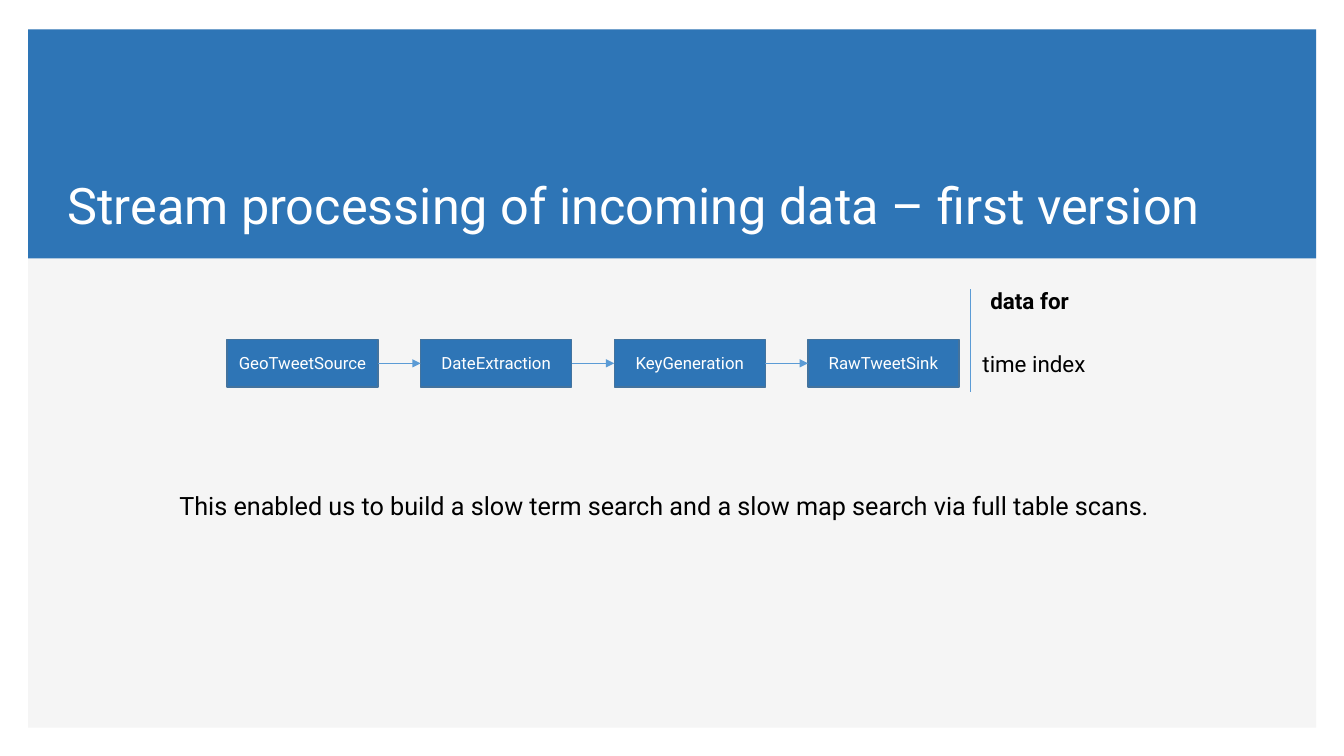
"""Build the slide on the first version of the stream processing pipeline."""
import dataclasses

import lxml.etree
import pptx
import pptx.dml.color
import pptx.enum.shapes
import pptx.enum.text
import pptx.oxml.ns
import pptx.util
from pptx.util import Cm

RGBColor = pptx.dml.color.RGBColor
Anchor = pptx.enum.text.MSO_ANCHOR
Align = pptx.enum.text.PP_ALIGN


@dataclasses.dataclass(frozen=True)
class Theme:
    """Colours, font and type sizes of the slide."""
    panel: RGBColor = RGBColor(0xF5, 0xF5, 0xF5)
    blue: RGBColor = RGBColor(0x2E, 0x75, 0xB6)
    outline: RGBColor = RGBColor(0x43, 0x73, 0x9E)
    connector: RGBColor = RGBColor(0x5B, 0x9B, 0xD5)
    light: RGBColor = RGBColor(0xFF, 0xFF, 0xFF)
    dark: RGBColor = RGBColor(0x00, 0x00, 0x00)
    font: str = "Roboto"
    title_size: int = 36
    body_size: int = 18
    label_size: int = 16
    step_size: int = 12
    line_width: int = 1


THEME = Theme()
STEPS = ("GeoTweetSource", "DateExtraction", "KeyGeneration", "RawTweetSink")
STEP_LEFT, STEP_TOP = Cm(5.72), Cm(8.56)
STEP_WIDTH, STEP_HEIGHT = Cm(3.81), Cm(1.19)
STEP_PITCH = Cm(4.88)


def write_text(shape, text, size, color, bold=False):
    """Set the text of a shape, format it and return its paragraph."""
    shape.text_frame.text = text
    paragraph = shape.text_frame.paragraphs[0]
    font = paragraph.runs[0].font
    font.name = THEME.font
    font.size = pptx.util.Pt(size)
    font.bold = bold
    font.color.rgb = color
    return paragraph


def add_rectangle(slide, left, top, width, height, fill):
    """Add a plain filled rectangle."""
    shape = slide.shapes.add_shape(
        pptx.enum.shapes.MSO_SHAPE.RECTANGLE, left, top, width, height)
    shape.shadow.inherit = False
    shape.fill.solid()
    shape.fill.fore_color.rgb = fill
    shape.line.fill.background()
    return shape


def add_step(slide, name, left):
    """Add one outlined box of the pipeline."""
    shape = add_rectangle(slide, left, STEP_TOP, STEP_WIDTH, STEP_HEIGHT, THEME.blue)
    shape.line.color.rgb = THEME.outline
    shape.line.width = pptx.util.Pt(THEME.line_width)
    shape.text_frame.vertical_anchor = Anchor.MIDDLE
    paragraph = write_text(shape, name, THEME.step_size, THEME.light)
    paragraph.alignment = Align.CENTER


def add_line(slide, start_x, start_y, end_x, end_y, arrow=False):
    """Add a straight line, with an arrowhead at its end if wanted."""
    connector = slide.shapes.add_connector(
        pptx.enum.shapes.MSO_CONNECTOR.STRAIGHT, start_x, start_y, end_x, end_y)
    connector.line.color.rgb = THEME.connector
    connector.line.width = pptx.util.Pt(THEME.line_width)
    if arrow:
        line = connector.line._get_or_add_ln()
        lxml.etree.SubElement(line, pptx.oxml.ns.qn("a:tailEnd"), type="triangle")
    properties = connector._element.spPr
    lxml.etree.SubElement(properties, pptx.oxml.ns.qn("a:effectLst"))


def add_label(slide, text, left, top, width, height, size, bold=False):
    """Add a dark text box on a single line that grows with its text."""
    box = slide.shapes.add_textbox(left, top, width, height)
    box.text_frame.word_wrap = False
    box.text_frame.auto_size = pptx.enum.text.MSO_AUTO_SIZE.SHAPE_TO_FIT_TEXT
    write_text(box, text, size, THEME.dark, bold)


def add_title(slide, text):
    """Add the title at the bottom of the blue band."""
    box = slide.shapes.add_textbox(Cm(1.45), Cm(4.27), Cm(30.99), Cm(1.78))
    box.text_frame.word_wrap = True
    box.text_frame.vertical_anchor = Anchor.BOTTOM
    paragraph = write_text(box, text, THEME.title_size, THEME.light)
    paragraph.line_spacing = 0.9


def add_pipeline(slide):
    """Add the processing steps and the arrows between them."""
    middle = STEP_TOP + STEP_HEIGHT // 2
    for index, name in enumerate(STEPS):
        left = STEP_LEFT + index * STEP_PITCH
        add_step(slide, name, left)
        if index:
            add_line(slide, left - STEP_PITCH + STEP_WIDTH, middle, left, middle, arrow=True)


def main():
    """Build the slide and save it."""
    presentation = pptx.Presentation()
    presentation.slide_width, presentation.slide_height = Cm(33.87), Cm(19.05)
    slide = presentation.slides.add_slide(presentation.slide_layouts[6])
    add_rectangle(slide, Cm(0.71), Cm(0.74), Cm(32.46), Cm(17.6), THEME.panel)
    add_rectangle(slide, Cm(0.71), Cm(0.74), Cm(32.46), Cm(5.77), THEME.blue)
    add_title(slide, "Stream processing of incoming data – first version")
    add_pipeline(slide)
    add_line(slide, Cm(24.46), Cm(7.29), Cm(24.46), Cm(9.88))
    add_label(slide, "data for", Cm(24.71), Cm(7.11), Cm(2.51), Cm(0.94),
              THEME.label_size, bold=True)
    add_label(slide, "time index", Cm(24.51), Cm(8.69), Cm(3.18), Cm(0.94),
              THEME.label_size)
    add_label(slide, "This enabled us to build a slow term search and a slow map "
              "search via full table scans.", Cm(4.27), Cm(12.22), Cm(25.35), Cm(1.02),
              THEME.body_size)
    presentation.save("out.pptx")


if __name__ == "__main__":
    main()
